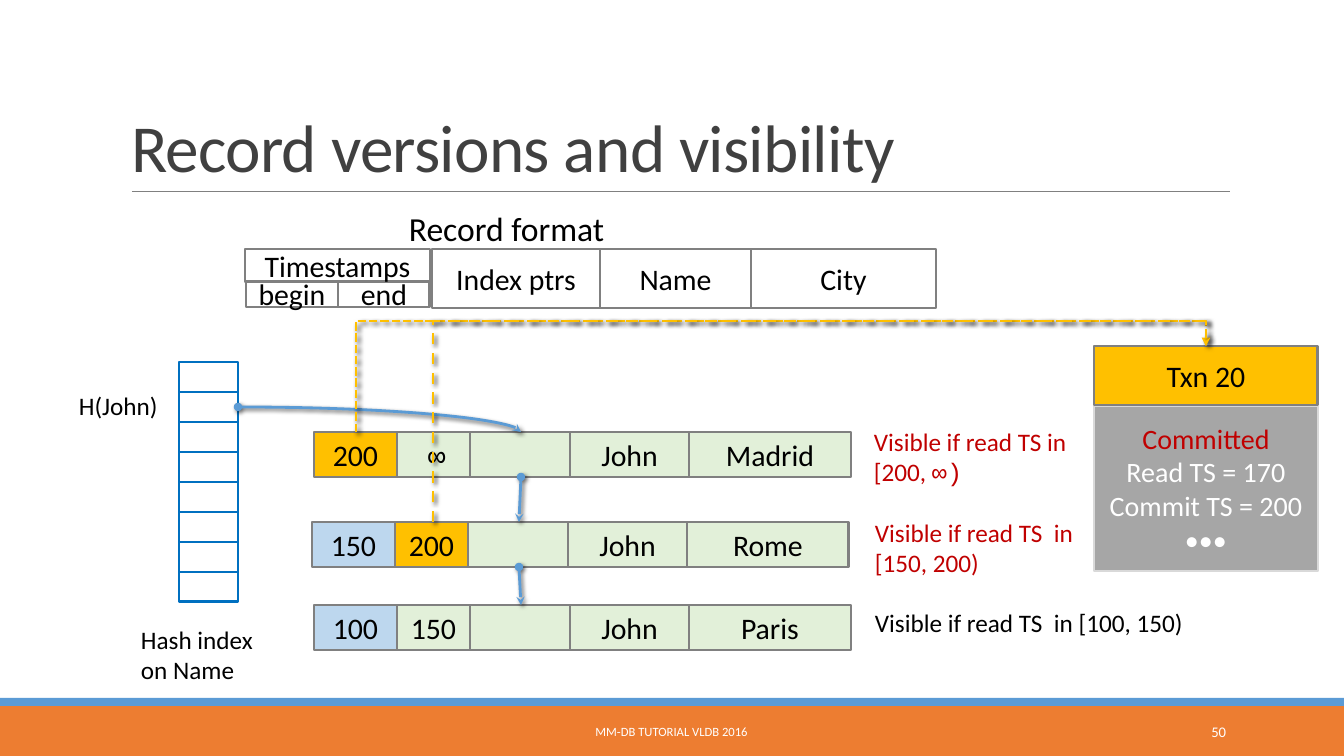
"""Build the slide on record versions and visibility by timestamp."""
from dataclasses import dataclass
from itertools import accumulate

from lxml.etree import SubElement
from pptx import Presentation
from pptx.dml.color import RGBColor
from pptx.enum.dml import MSO_LINE
from pptx.enum.shapes import MSO_CONNECTOR, MSO_SHAPE
from pptx.enum.text import MSO_ANCHOR, MSO_AUTO_SIZE, PP_ALIGN
from pptx.oxml.ns import qn
from pptx.util import Emu, Pt


@dataclass(frozen=True)
class Theme:
    font: str = "Calibri"
    symbol_font: str = "Courier New"
    black: str = "000000"
    white: str = "FFFFFF"
    title: str = "404040"
    edge: str = "808080"
    panel: str = "A6A6A6"
    panel_edge: str = "D9D9D9"
    red: str = "C00000"
    orange: str = "ED7D31"
    blue: str = "5B9BD5"
    index: str = "0070C0"
    green: str = "E2F0D9"
    pale_blue: str = "BDD7EE"
    gold: str = "FFC000"
    title_size: float = 48
    heading_size: float = 24
    cell_size: float = 21.3
    panel_size: float = 20
    label_size: float = 18
    number_size: float = 10.5
    footer_size: float = 9


THEME = Theme()
SLIDE = (1344, 756)
TITLE = ("Record versions and visibility", (121, 31, 1109, 160))
BARS = [((0, 706, 1344, 50), THEME.orange), ((0, 698, 1344, 8), THEME.blue)]
HEADER = [
    ("begin", (246, 281, 92, 26)),
    ("end", (338, 281, 92, 26)),
    ("Timestamps", (245, 249, 185, 33)),
    ("Index ptrs", (432, 249, 168, 59)),
    ("Name", (600, 249, 151, 59)),
    ("City", (751, 249, 185, 59)),
]
HASH_CELLS = 8
HASH_FIRST = (179, 362, 59, 30)
COLUMN_WIDTHS = [83, 73, 100, 119, 162]
ROW_HEIGHT = 45
VERSIONS = [
    (314, 432, ["200", " ∞", "", "John", "Madrid"], THEME.gold, THEME.green),
    (312, 522, ["150", "200", "", "John", "Rome"], THEME.pale_blue, THEME.gold),
    (314, 605, ["100", "150", "", "John", "Paris"], THEME.pale_blue, THEME.green),
]
LABELS = [
    ("Record format", (399, 203, 336, 50), THEME.heading_size, THEME.black),
    ("H(John)", (69, 385, 105, 40), THEME.label_size, THEME.black),
    ("Hash index on Name", (131, 619, 146, 72), THEME.label_size, THEME.black),
    ("Visible if read TS in [200, ∞)", (864, 421, 228, 72), THEME.label_size, THEME.red),
    ("Visible if read TS  in [150, 200)", (865, 512, 228, 72), THEME.label_size, THEME.red),
    ("Visible if read TS  in [100, 150)", (865, 602, 331, 40), THEME.label_size, THEME.black),
]
TRANSACTION = ("Txn 20", (1094, 346, 224, 59))
STATE_BOX = (1094, 406, 224, 165)
STATE = [
    ("Committed", THEME.red),
    ("Read TS = 170", THEME.white),
    ("Commit TS = 200", THEME.white),
    ("•••", THEME.white),
]
FOOTER = [
    ("MM-DB TUTORIAL VLDB 2016", (406, 712, 531, 40), THEME.footer_size, PP_ALIGN.CENTER),
    ("50", (1092, 712, 144, 40), THEME.number_size, PP_ALIGN.RIGHT),
]
INDEX_LINK = ((238, 407), (521, 432))
VERSION_LINKS = [((521, 477), (519, 522)), ((519, 567), (521, 605))]
TRANSACTION_TOP = (1206, 346)
TRANSACTION_LINKS = [
    ((356, 432), MSO_LINE.SQUARE_DOT, "triangle"),
    ((433, 522), MSO_LINE.DASH, "stealth"),
]
BEND_Y = 321


def px(value):
    return Emu(round(value * 914400 / 100.8))


def color(value):
    return RGBColor.from_string(value)


def add_span(para, text, size, ink, font=THEME.font):
    span = para.add_run()
    span.text = text
    span.font.name, span.font.size = font, Pt(size)
    span.font.color.rgb = color(ink)
    return span


def write(para, text, size, ink, align=PP_ALIGN.LEFT):
    para.alignment = align
    plain, infinity, rest = text.partition("∞")
    if plain:
        add_span(para, plain, size, ink)
    if infinity:
        add_span(para, infinity + rest, size, ink, THEME.symbol_font)


def add_box(page, place, fill=None, edge=None, width=2):
    box = page.shapes.add_shape(MSO_SHAPE.RECTANGLE, *map(px, place))
    box.shadow.inherit = False
    if fill:
        box.fill.solid()
        box.fill.fore_color.rgb = color(fill)
    else:
        box.fill.background()
    if edge:
        box.line.color.rgb, box.line.width = color(edge), Pt(width)
    else:
        box.line.fill.background()
    box.text_frame.vertical_anchor = MSO_ANCHOR.MIDDLE
    return box


def add_cell(page, text, place, fill=None, inset=0):
    box = add_box(page, place, fill, THEME.edge)
    box.text_frame.margin_left = box.text_frame.margin_right = px(inset)
    if text:
        write(box.text_frame.paragraphs[0], text, THEME.cell_size, THEME.black, PP_ALIGN.CENTER)


def add_label(page, text, place, size, ink, align=PP_ALIGN.LEFT, anchor=MSO_ANCHOR.TOP):
    frame = page.shapes.add_textbox(*map(px, place)).text_frame
    frame.word_wrap, frame.vertical_anchor = True, anchor
    write(frame.paragraphs[0], text, size, ink, align)


def add_line(page, kind, start, end, ink, width):
    line = page.shapes.add_connector(kind, *map(px, (*start, *end)))
    line.line.color.rgb, line.line.width = color(ink), Pt(width)
    effects = SubElement(line._element.spPr, qn("a:effectLst"))
    return line, effects


def add_arrow(page, kind, start, end, ink, tail, head=None, dash=None):
    line, effects = add_line(page, kind, start, end, ink, 2)
    if dash:
        line.line.dash_style = dash
    outline = line.line._get_or_add_ln()
    if head:
        SubElement(outline, qn("a:headEnd"), type=head)
    SubElement(outline, qn("a:tailEnd"), type=tail)
    shadow = SubElement(effects, qn("a:outerShdw"), blurRad=str(Pt(3)), dist=str(Pt(2)),
                        dir="2700000", algn="tl", rotWithShape="0")
    SubElement(SubElement(shadow, qn("a:srgbClr"), val=THEME.black), qn("a:alpha"), val="60000")
    return line


def add_bent_arrow(page, start, end, bend_y, tail, dash):
    """Draw an elbow that leaves upwards, runs across at bend_y and drops to its end."""
    (x1, y1), (x2, y2) = start, end
    middle_x, middle_y = (x1 + x2) / 2, (y1 + y2) / 2
    half_width, half_height = (y1 - y2) / 2, (x2 - x1) / 2
    line = add_arrow(page, MSO_CONNECTOR.ELBOW,
                     (middle_x + half_width, middle_y + half_height),
                     (middle_x - half_width, middle_y - half_height),
                     THEME.gold, tail, dash=dash)
    properties = line._element.spPr
    properties.find(qn("a:xfrm")).set("rot", "5400000")
    guides = properties.find(qn("a:prstGeom")).get_or_add_avLst()
    ratio = round((y1 - bend_y) / (y1 - y2) * 100000)
    SubElement(guides, qn("a:gd"), name="adj1", fmla=f"val {ratio}")


def add_title(page, text, place):
    title = page.shapes.title
    title.left, title.top, title.width, title.height = map(px, place)
    frame = title.text_frame
    frame.auto_size, frame.vertical_anchor = MSO_AUTO_SIZE.NONE, MSO_ANCHOR.BOTTOM
    para = frame.paragraphs[0]
    para.alignment, para.line_spacing = PP_ALIGN.LEFT, 0.85
    span = add_span(para, text, THEME.title_size, THEME.title)
    span.font._element.set("spc", "-50")


def main():
    deck = Presentation()
    deck.slide_width, deck.slide_height = map(px, SLIDE)
    page = deck.slides.add_slide(deck.slide_layouts[5])
    for place, fill in BARS:
        add_box(page, place, fill)
    add_line(page, MSO_CONNECTOR.STRAIGHT, (132, 191), (1230, 191), THEME.edge, 0.5)
    add_title(page, *TITLE)
    for text, place, size, align in FOOTER:
        add_label(page, text, place, size, THEME.white, align, MSO_ANCHOR.MIDDLE)
    for text, place in HEADER:
        add_cell(page, text, place)
    left, top, width, height = HASH_FIRST
    for row in range(HASH_CELLS):
        add_box(page, (left, top + row * height, width, height), edge=THEME.index)
    for left, top, texts, begin_fill, end_fill in VERSIONS:
        fills = [begin_fill, end_fill] + [THEME.green] * 3
        lefts = accumulate(COLUMN_WIDTHS, initial=left)
        for text, fill, x, width in zip(texts, fills, lefts, COLUMN_WIDTHS):
            add_cell(page, text, (x, top, width, ROW_HEIGHT), fill, 10)
    state = add_box(page, STATE_BOX, THEME.panel, THEME.panel_edge, 1.25).text_frame
    for number, (text, ink) in enumerate(STATE):
        para = state.add_paragraph() if number else state.paragraphs[0]
        write(para, text, THEME.panel_size, ink, PP_ALIGN.CENTER)
    add_cell(page, *TRANSACTION, THEME.gold)
    curve = add_arrow(page, MSO_CONNECTOR.CURVE, *INDEX_LINK, THEME.blue, "stealth", "oval")
    curve._element.spPr.find(qn("a:prstGeom")).set("prst", "curvedConnector2")
    for start, end in VERSION_LINKS:
        add_arrow(page, MSO_CONNECTOR.STRAIGHT, start, end, THEME.blue, "stealth", "oval")
    for start, dash, tail in TRANSACTION_LINKS:
        add_bent_arrow(page, start, TRANSACTION_TOP, BEND_Y, tail, dash)
    for label in LABELS:
        add_label(page, *label)
    deck.save("out.pptx")


if __name__ == "__main__":
    main()
